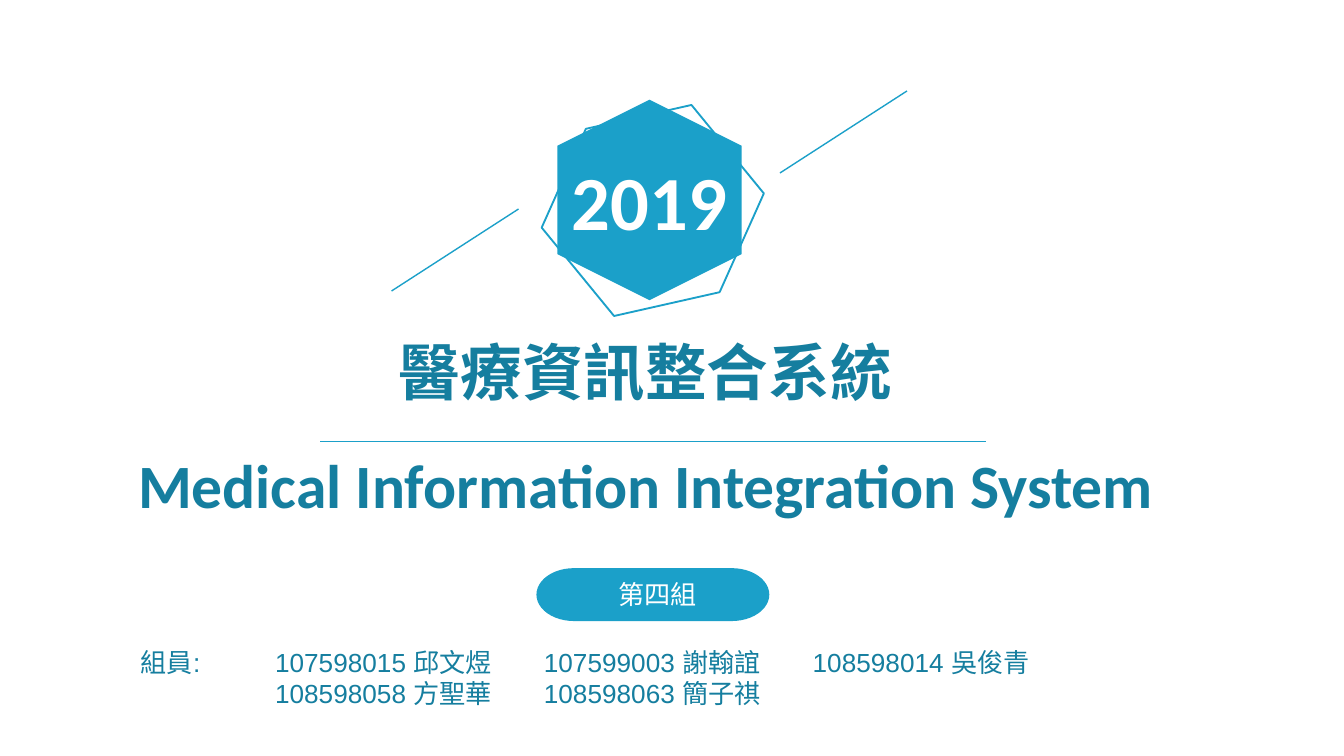
import pptx
import pptx.util
import pptx.dml.color
import pptx.enum.shapes
import pptx.enum.text
import pptx.oxml.ns
import lxml.etree

Cm = pptx.util.Cm
Pt = pptx.util.Pt
qn = pptx.oxml.ns.qn
SHAPE = pptx.enum.shapes.MSO_SHAPE
ALIGN = pptx.enum.text.PP_ALIGN

COLORS = {"accent": "1BA0C9", "deep": "157E9F", "white": "FFFFFF"}


def rgb(name):
    return pptx.dml.color.RGBColor.from_string(COLORS[name])


def write(tf, text, size=14, font="Calibri", color="deep", bold=False,
          align=ALIGN.LEFT, tabs=()):
    p = tf.paragraphs[0]
    p.alignment = align
    if tabs:
        stops = lxml.etree.SubElement(p._p.get_or_add_pPr(), qn("a:tabLst"))
        for pos in tabs:
            lxml.etree.SubElement(stops, qn("a:tab"), pos=str(Cm(pos)), algn="l")
    for i, line in enumerate(text.split("\n")):
        if i:
            p.add_line_break()
        r = p.add_run()
        r.text = line
        r.font.size = Pt(size)
        r.font.name = font
        r.font.bold = bold
        r.font.color.rgb = rgb(color)


class Deck:
    def __init__(self, s):
        self.s = s

    def text(self, x, y, w, h, text, inset=(0.19, 0.1), **fmt):
        sp = self.s.shapes.add_textbox(Cm(x), Cm(y), Cm(w), Cm(h))
        tf = sp.text_frame
        tf.word_wrap = True
        tf.margin_left = tf.margin_right = Cm(inset[0])
        tf.margin_top = tf.margin_bottom = Cm(inset[1])
        write(tf, text, **fmt)

    def shape(self, kind, x, y, w, h, filled=True, rotation=0):
        sp = self.s.shapes.add_shape(kind, Cm(x), Cm(y), Cm(w), Cm(h))
        sp.shadow.inherit = False
        sp.rotation = rotation
        if filled:
            sp.fill.solid()
            sp.fill.fore_color.rgb = rgb("accent")
            sp.line.fill.background()
        else:
            sp.fill.background()
            sp.line.color.rgb = rgb("accent")
            sp.line.width = Pt(1)

    def line(self, x1, y1, x2, y2):
        c = self.s.shapes.add_connector(
            pptx.enum.shapes.MSO_CONNECTOR.STRAIGHT, Cm(x1), Cm(y1), Cm(x2), Cm(y2))
        c.line.color.rgb = rgb("accent")
        c.line.width = Pt(0.75)
        lxml.etree.SubElement(c._element.spPr, qn("a:effectLst"))


def main():
    prs = pptx.Presentation()
    prs.slide_width, prs.slide_height = Cm(25.4), Cm(14.29)
    d = Deck(prs.slides.add_slide(prs.slide_layouts[6]))

    d.line(6.05, 8.35, 18.64, 8.35)
    d.text(2.42, 8.34, 21.87, 1.6, "Medical Information Integration System", size=33, bold=True)

    d.shape(SHAPE.FLOWCHART_TERMINATOR, 10.14, 10.74, 4.4, 1)
    d.text(10.46, 10.83, 3.94, 0.58, "第四組", color="white", align=ALIGN.CENTER)

    d.shape(SHAPE.HEXAGON, 10.38, 2.04, 3.79, 3.48, rotation=90)
    d.shape(SHAPE.HEXAGON, 10.34, 2.15, 3.99, 3.66, filled=False, rotation=50.7)
    d.text(10.62, 2.82, 4.17, 1.93, "2019", size=41, bold=True, color="white")
    for x, y in ((17.14, 1.72), (9.8, 3.95)):
        d.line(x, y, x - 2.4, y + 1.55)

    d.text(7.35, 6.21, 10.19, 1.6, "醫療資訊整合系統", size=33, bold=True)
    d.text(2.41, 11.96, 18.31, 1.55,
           "組員:\t107598015 邱文煜\t107599003 謝翰誼\t108598014 吳俊青\n"
           "\t108598058 方聖華\t108598063 簡子祺",
           inset=(0.25, 0.25), font="Arial", tabs=(2.54, 7.62, 12.7))

    prs.save("out.pptx")


if __name__ == "__main__":
    main()
